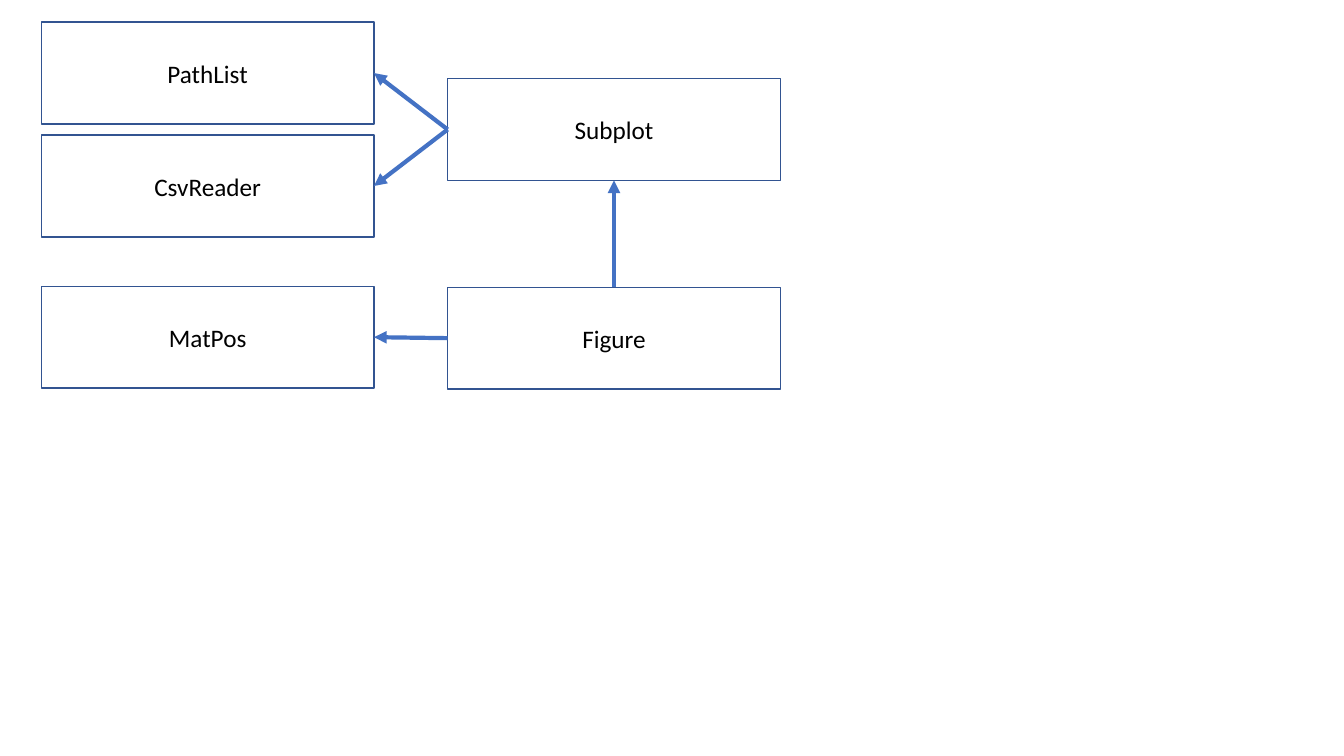
from lxml import etree
from pptx import Presentation
from pptx import util as u
from pptx.dml.color import RGBColor
from pptx.enum import shapes, text
from pptx.oxml.ns import qn

# Connection sites of a rectangle
TOP, LEFT, BOTTOM, RIGHT = range(4)


def color(hex_code):
    return RGBColor.from_string(hex_code)


class ClassDiagram:
    font, size, ink = "Calibri", 18, "000000"
    border, arrow_color = "325491", "4472C4"
    box_width, box_height = 3.3, 1.01

    def __init__(self, slide):
        self.slide = slide

    def class_box(self, name, left, top):
        box = self.slide.shapes.add_shape(
            shapes.MSO_SHAPE.RECTANGLE, u.Inches(left), u.Inches(top),
            u.Inches(self.box_width), u.Inches(self.box_height))
        box.shadow.inherit = False
        box.fill.background()
        box.line.color.rgb = color(self.border)
        box.line.width = u.Pt(1)
        frame = box.text_frame
        frame.text = name
        frame.vertical_anchor = text.MSO_ANCHOR.MIDDLE
        label = frame.paragraphs[0]
        label.alignment = text.PP_ALIGN.CENTER
        font = label.runs[0].font
        font.name, font.size = self.font, u.Pt(self.size)
        font.color.rgb = color(self.ink)
        return box

    def arrow(self, user, user_side, used, used_side):
        link = self.slide.shapes.add_connector(
            shapes.MSO_CONNECTOR.STRAIGHT, 0, 0, 0, 0)
        link.begin_connect(user, user_side)
        link.end_connect(used, used_side)
        link.line.color.rgb = color(self.arrow_color)
        link.line.width = u.Pt(3)
        # Arrowhead at the end, no shadow
        etree.SubElement(link.line._get_or_add_ln(), qn("a:tailEnd"), type="triangle")
        etree.SubElement(link._element.spPr, qn("a:effectLst"))


deck = Presentation()
deck.slide_width, deck.slide_height = u.Inches(13.33), u.Inches(7.5)
diagram = ClassDiagram(deck.slides.add_slide(deck.slide_layouts[6]))

# Classes in two columns
helper_left, plot_left = 0.41, 4.44
path_list = diagram.class_box("PathList", helper_left, 0.22)
csv_reader = diagram.class_box("CsvReader", helper_left, 1.34)
mat_pos = diagram.class_box("MatPos", helper_left, 2.84)
subplot = diagram.class_box("Subplot", plot_left, 0.78)
figure = diagram.class_box("Figure", plot_left, 2.85)

# Dependencies
diagram.arrow(subplot, LEFT, path_list, RIGHT)
diagram.arrow(subplot, LEFT, csv_reader, RIGHT)
diagram.arrow(figure, LEFT, mat_pos, RIGHT)
diagram.arrow(figure, TOP, subplot, BOTTOM)

deck.save("out.pptx")
